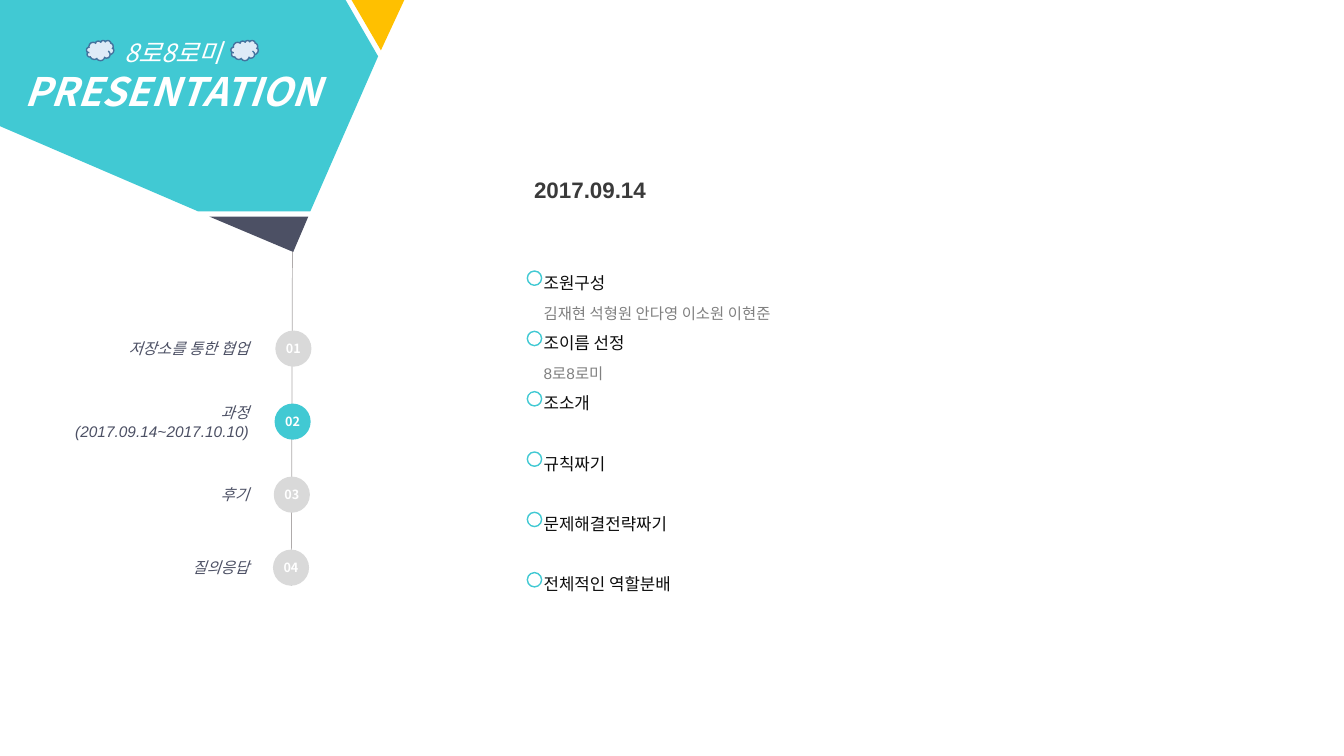
from dataclasses import dataclass

from lxml.etree import SubElement
from pptx import Presentation
from pptx.dml.color import RGBColor
from pptx.enum.shapes import MSO_CONNECTOR as Connector, MSO_SHAPE as Preset
from pptx.enum.text import MSO_ANCHOR as Anchor, MSO_AUTO_SIZE as AutoSize, PP_ALIGN as Align
from pptx.oxml.ns import qn
from pptx.util import Cm, Pt

COLORS = {
    "teal": "41C9D3", "gold": "FFC000", "navy": "4C5064", "white": "FFFFFF",
    "idle": "D9D9D9", "track": "AFABAB", "cloud": "DEEBF7", "cloud_edge": "43739E",
    "date": "3A3A3A", "topic": "0D0D0D", "detail": "808080",
}
NOTO = "Noto Sans CJK KR"
ARIAL = "Arial"


@dataclass(frozen=True)
class Facet:
    color: str
    points: tuple[tuple[float, float], ...]


@dataclass(frozen=True)
class Step:
    lines: tuple[str, ...]
    color: str = "idle"


@dataclass(frozen=True)
class Topic:
    name: str
    detail: str = ""


FACETS = (
    Facet("gold", ((8.86, 0), (10.19, 0), (9.6, 1.27))),
    Facet("teal", ((0, 0), (8.71, 0), (9.53, 1.42), (7.82, 5.33), (5, 5.33), (0, 3.18))),
    Facet("navy", ((5.28, 5.46), (7.77, 5.46), (7.39, 6.35))),
)
STEPS = (
    Step(("저장소를 통한 협업",)),
    Step(("과정", "(2017.09.14~2017.10.10)"), "teal"),
    Step(("후기",)),
    Step(("질의응답",)),
)
TOPICS = (
    Topic("조원구성", "김재현 석형원 안다영 이소원 이현준"),
    Topic("조이름 선정", "8로8로미"),
    Topic("조소개"),
    Topic("규칙짜기"),
    Topic("문제해결전략짜기"),
    Topic("전체적인 역할분배"),
)
STEP_TOP, STEP_PITCH, BADGE = 8.33, 1.84, 0.91
LABEL_HEIGHT = 1.2
AGENDA_LEFT, AGENDA_TOP, AGENDA_LINE = 13.21, 6.61, 0.76
TOPIC_PITCH = 2 * AGENDA_LINE
RING_TOP, RING = 6.83, 0.36


def rgb(color: str) -> RGBColor:
    return RGBColor.from_string(COLORS[color])


def paint(shape, fill: str = "", edge: str = "") -> None:
    shape.shadow.inherit = False
    if fill:
        shape.fill.solid()
        shape.fill.fore_color.rgb = rgb(fill)
    else:
        shape.fill.background()
    if edge:
        shape.line.color.rgb = rgb(edge)
        shape.line.width = Pt(1)
    else:
        shape.line.fill.background()


def write(paragraph, text: str, size: float, color: str, face: str = ARIAL,
          bold: bool = False, italic: bool = False) -> None:
    run = paragraph.add_run()
    run.text = text
    font = run.font
    font.size, font.name, font.bold, font.italic = Pt(size), face, bold, italic
    font.color.rgb = rgb(color)
    SubElement(run._r.get_or_add_rPr(), qn("a:ea"), typeface=NOTO)


def paragraph_at(frame, index: int):
    return frame.add_paragraph() if index else frame.paragraphs[0]


def add_frame(left: float, top: float, width: float, height: float):
    frame = slide.shapes.add_textbox(Cm(left), Cm(top), Cm(width), Cm(height)).text_frame
    frame.word_wrap = True
    return frame


def add_preset(preset, left: float, top: float, width: float, height: float,
               fill: str = "", edge: str = ""):
    shape = slide.shapes.add_shape(preset, Cm(left), Cm(top), Cm(width), Cm(height))
    paint(shape, fill, edge)
    return shape


def add_facet(facet: Facet) -> None:
    start, *rest = [(Cm(x), Cm(y)) for x, y in facet.points]
    builder = slide.shapes.build_freeform(*start)
    builder.add_line_segments(rest, close=True)
    paint(builder.convert_to_shape(), facet.color)


def add_heading() -> None:
    heading = slide.shapes.title
    heading.left, heading.top, heading.width, heading.height = Cm(-0.05), Cm(0.81), Cm(8.81), Cm(2.24)
    frame = heading.text_frame
    frame.word_wrap = True
    frame.auto_size = AutoSize.NONE
    frame.vertical_anchor = Anchor.TOP
    line = frame.paragraphs[0]
    line.alignment = Align.CENTER
    write(line, "8로8로미 ", 18, "white", NOTO, italic=True)
    write(line, "PRESENTATION", 28, "white", NOTO, bold=True, italic=True)
    slide.shapes._spTree.append(heading._element)


def add_track() -> None:
    track = slide.shapes.add_connector(Connector.STRAIGHT, Cm(7.37), Cm(6.35), Cm(7.34), Cm(14.76))
    track.line.color.rgb = rgb("track")
    track.line.width = Pt(0.5)
    SubElement(track._element.spPr, qn("a:effectLst"))


def add_step(index: int, step: Step) -> None:
    top = STEP_TOP + index * STEP_PITCH
    badge = add_preset(Preset.OVAL, 6.94 - 0.02 * index, top, BADGE, BADGE, step.color).text_frame
    badge.margin_left = badge.margin_right = badge.margin_top = badge.margin_bottom = 0
    badge.vertical_anchor = Anchor.MIDDLE
    badge.paragraphs[0].alignment = Align.CENTER
    write(badge.paragraphs[0], f"{index + 1:02}", 9, "white", NOTO, bold=True)

    label = add_frame(0.41, top + (BADGE - LABEL_HEIGHT) / 2, 6.12, LABEL_HEIGHT)
    label.vertical_anchor = Anchor.MIDDLE
    for row, text in enumerate(step.lines):
        line = paragraph_at(label, row)
        line.alignment = Align.RIGHT
        write(line, text, 11, "navy", italic=True)


def add_agenda() -> None:
    date = add_frame(AGENDA_LEFT, 4.32, 15.77, 1)
    write(date.paragraphs[0], "2017.09.14", 16, "date", bold=True)

    agenda = add_frame(AGENDA_LEFT, AGENDA_TOP, 15.77, TOPIC_PITCH * len(TOPICS))
    agenda.margin_left, agenda.margin_top = Cm(0.49), 0
    for index, topic in enumerate(TOPICS):
        name = paragraph_at(agenda, index)
        name.line_spacing = Cm(AGENDA_LINE)
        write(name, topic.name, 12, "topic")
        if topic.detail:
            detail = agenda.add_paragraph()
            detail.line_spacing = Cm(AGENDA_LINE)
            write(detail, topic.detail, 11, "detail")
        else:
            name.space_after = Cm(AGENDA_LINE)
        add_preset(Preset.OVAL, AGENDA_LEFT + 0.08, RING_TOP + index * TOPIC_PITCH, RING, RING, edge="teal")


deck = Presentation()
deck.slide_width, deck.slide_height = Cm(33.87), Cm(19.05)
slide = deck.slides.add_slide(deck.slide_layouts[5])

for facet in FACETS:
    add_facet(facet)
add_heading()
for cloud_left in (2.18, 5.82):
    add_preset(Preset.CLOUD, cloud_left, 1.02, 0.69, 0.51, "cloud", "cloud_edge")
add_track()
for index, step in enumerate(STEPS):
    add_step(index, step)
add_agenda()

deck.save("out.pptx")
